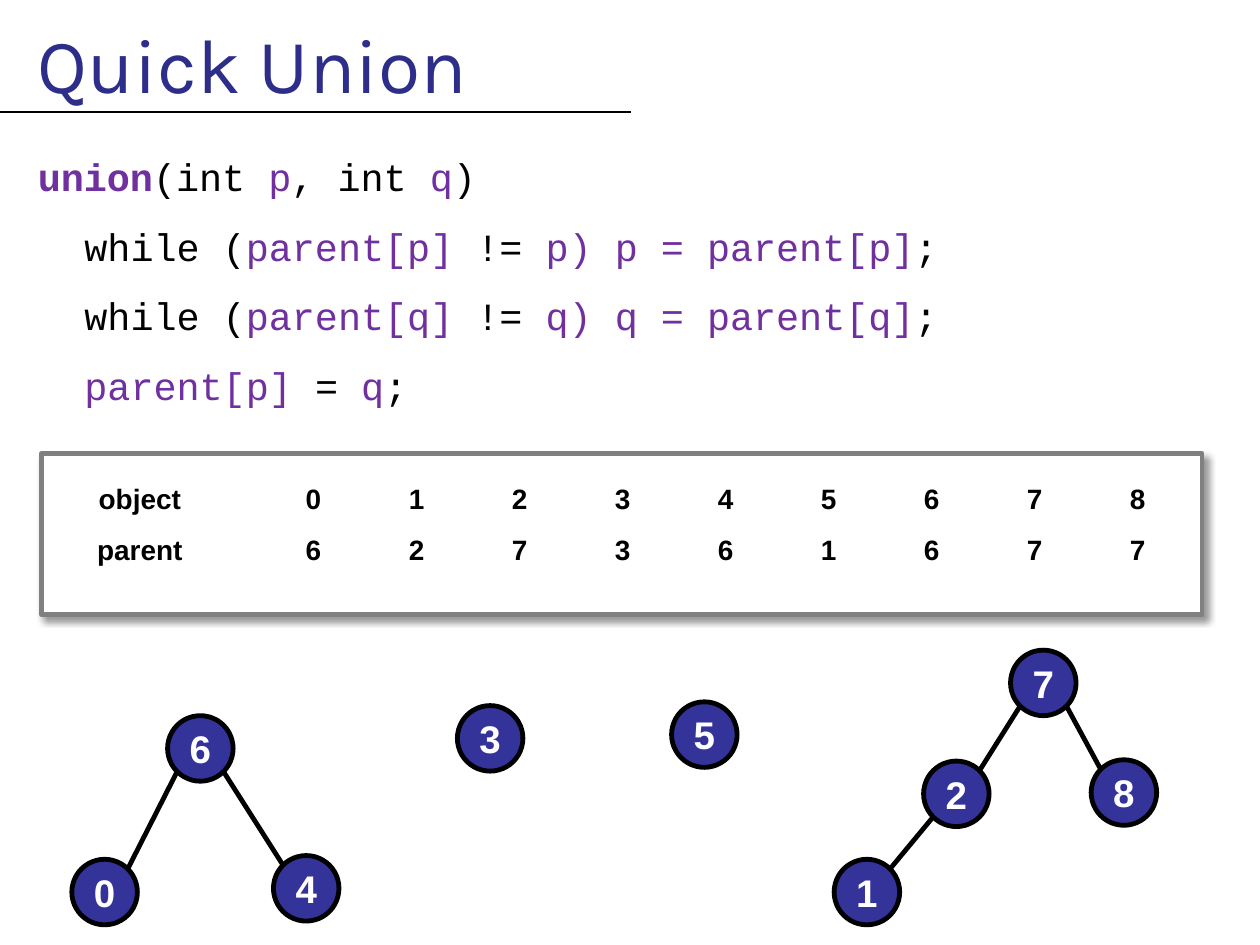
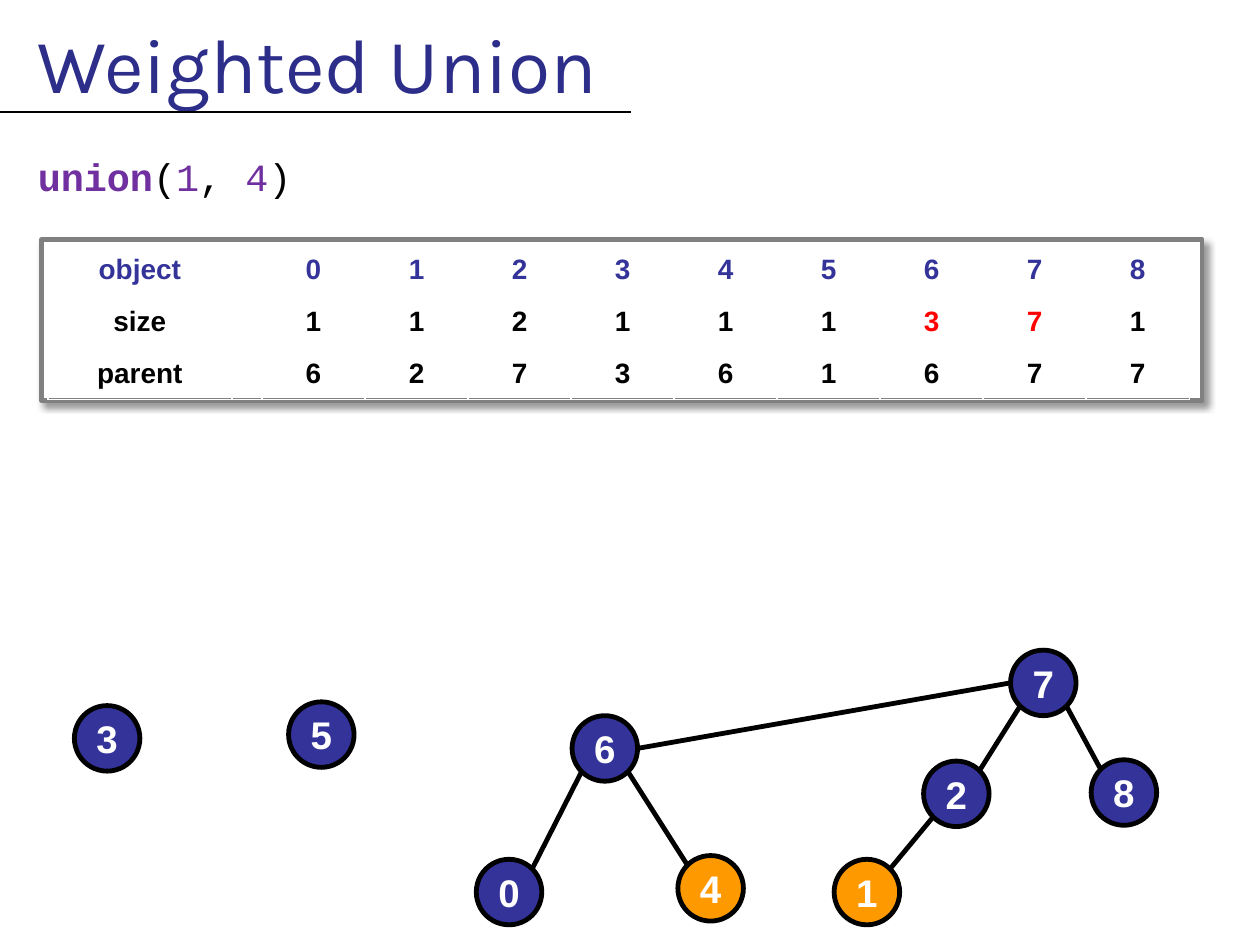
from dataclasses import dataclass
from math import sqrt

from lxml.etree import SubElement
from pptx import Presentation
from pptx.dml.color import RGBColor
from pptx.enum.shapes import MSO_CONNECTOR, MSO_SHAPE
from pptx.enum.text import MSO_ANCHOR, MSO_AUTO_SIZE, PP_ALIGN
from pptx.oxml.ns import qn
from pptx.util import Inches, Pt

WIDTH, HEIGHT = Inches(10), Inches(7.5)
COLUMN, ROW = WIDTH / 10, HEIGHT / 7.5
DIAMETER = 0.52
DIAGONAL = DIAMETER / 2 / sqrt(2)
CELL_ROW = 0.41
VALUE_COLUMN = (9.05 - 1.46 - 0.23) / 9


@dataclass(frozen=True)
class Theme:
    title: RGBColor = RGBColor.from_string("2D2D8A")
    accent: RGBColor = RGBColor.from_string("333399")
    code: RGBColor = RGBColor.from_string("7030A0")
    marked: RGBColor = RGBColor.from_string("FF9900")
    changed: RGBColor = RGBColor.from_string("FF0000")
    frame: RGBColor = RGBColor.from_string("808080")
    ink: RGBColor = RGBColor.from_string("000000")
    paper: RGBColor = RGBColor.from_string("FFFFFF")
    title_font: str = "Karla"
    code_font: str = "Courier New"
    label_font: str = "Arial"
    title_size: int = 44
    code_size: int = 22
    node_size: int = 22
    table_size: int = 16
    outline: float = 2.75
    rule: float = 1.5


@dataclass(frozen=True)
class Node:
    label: str
    x: float
    y: float
    marked: bool = False

    def shifted(self, distance: float, marked: bool = False) -> "Node":
        return Node(self.label, self.x + distance, self.y, marked)


@dataclass(frozen=True)
class Edge:
    child: str
    parent: str
    sideways: bool = False


@dataclass(frozen=True)
class TableRow:
    label: str
    values: str
    color: RGBColor
    changed: tuple[int, ...] = ()


@dataclass(frozen=True)
class UnionSlide:
    title: str
    code: list[str]
    frame_top: float
    table_top: float
    rows: list[TableRow]
    nodes: list[Node]
    edges: list[Edge]


THEME = Theme()
PARENTS = TableRow("parent", "627361677", THEME.ink)

SINGLES = [Node("3", 3.89, 5.86), Node("5", 5.59, 5.83)]
SMALL_TREE = [Node("0", 0.83, 7.08), Node("4", 2.43, 7.05), Node("6", 1.59, 5.94)]
LARGE_TREE = [Node("8", 8.92, 6.29), Node("2", 7.59, 6.3), Node("7", 8.28, 5.42)]
LEAF = Node("1", 6.88, 7.08)
TREE_EDGES = [Edge("1", "2"), Edge("0", "6"), Edge("4", "6"), Edge("2", "7"), Edge("8", "7")]

SLIDES = [
    UnionSlide(
        title="Quick Union",
        code=[
            "|union|(int |p|, int |q|)",
            "while (|parent[p] |!= |p) p = parent[p]|;",
            "while (|parent[q] |!= |q) q = parent[q]|;",
            "|parent[p]| = |q|;",
        ],
        frame_top=3.6,
        table_top=3.76,
        rows=[TableRow("object", "012345678", THEME.ink), PARENTS],
        nodes=SINGLES + SMALL_TREE + LARGE_TREE + [LEAF],
        edges=TREE_EDGES,
    ),
    UnionSlide(
        title="Weighted Union",
        code=["|union|(|1|, |4|)"],
        frame_top=1.9,
        table_top=1.94,
        rows=[
            TableRow("object", "012345678", THEME.accent),
            TableRow("size", "112111371", THEME.ink, changed=(6, 7)),
            PARENTS,
        ],
        nodes=[node.shifted(-3.04) for node in SINGLES]
        + [node.shifted(3.21, node.label == "4") for node in SMALL_TREE]
        + LARGE_TREE
        + [LEAF.shifted(0, True)],
        edges=TREE_EDGES + [Edge("6", "7", sideways=True)],
    ),
]


def place(left: float, top: float, width: float, height: float) -> tuple[int, int, int, int]:
    return round(left * COLUMN), round(top * ROW), round(width * COLUMN), round(height * ROW)


def move(shape, left: float, top: float, width: float, height: float) -> None:
    shape.left, shape.top, shape.width, shape.height = place(left, top, width, height)


def format_run(run, name: str, size: int, color: RGBColor, bold: bool = False) -> None:
    run.font.name = name
    run.font.size = Pt(size)
    run.font.color.rgb = color
    run.font.bold = bold


def indent(paragraph, margin: float, first_line: float) -> None:
    properties = paragraph._p.get_or_add_pPr()
    properties.set("marL", str(Inches(margin)))
    properties.set("indent", str(Inches(first_line)))
    SubElement(properties, qn("a:buNone"))


def draw_line(slide, start: tuple[float, float], end: tuple[float, float], weight: float) -> None:
    connector = slide.shapes.add_connector(MSO_CONNECTOR.STRAIGHT, *place(*start, *end))
    connector.line.color.rgb = THEME.ink
    connector.line.width = Pt(weight)
    SubElement(connector._element.spPr, qn("a:effectLst"))


def draw_title(slide, text: str) -> None:
    title = slide.shapes.title
    move(title, 0, 0, 10, 1)
    frame = title.text_frame
    frame.text = text
    frame.auto_size = MSO_AUTO_SIZE.NONE
    frame.vertical_anchor = MSO_ANCHOR.MIDDLE
    paragraph = frame.paragraphs[0]
    paragraph.alignment = PP_ALIGN.LEFT
    indent(paragraph, 0.2, 0)
    format_run(paragraph.runs[0], THEME.title_font, THEME.title_size, THEME.title)
    draw_line(slide, (0, 0.89), (5.01, 0.89), THEME.rule)


def draw_code(slide, lines: list[str]) -> None:
    body = slide.placeholders[1]
    move(body, 0, 1.09, 10, 6.41)
    frame = body.text_frame
    frame.auto_size = MSO_AUTO_SIZE.NONE
    frame.margin_top = Inches(0.11)
    for number, line in enumerate(lines):
        paragraph = frame.add_paragraph() if number else frame.paragraphs[0]
        paragraph.level = 1 if number else 0
        paragraph.line_spacing = 1.05
        paragraph.space_before = Pt(12 if number else 0)
        indent(paragraph, *((1, -0.43) if number else (0.5, -0.3)))
        for position, piece in enumerate(line.split("|")):
            if piece:
                run = paragraph.add_run()
                run.text = piece
                color = THEME.code if position % 2 else THEME.ink
                format_run(run, THEME.code_font, THEME.code_size, color, piece == "union")


def add_shadow(shape) -> None:
    effects = shape._element.spPr.find(qn("a:effectLst"))
    shadow = SubElement(effects, qn("a:outerShdw"), blurRad=str(Pt(4)), dist=str(Pt(3)),
                        dir=str(45 * 60000), algn="tl", rotWithShape="0")
    color = SubElement(shadow, qn("a:srgbClr"), val=str(THEME.ink))
    SubElement(color, qn("a:alpha"), val="40000")


def draw_shape(slide, kind: MSO_SHAPE, box: tuple[float, float, float, float],
               fill: RGBColor, line: RGBColor):
    shape = slide.shapes.add_shape(kind, *place(*box))
    shape.shadow.inherit = False
    shape.fill.solid()
    shape.fill.fore_color.rgb = fill
    shape.line.color.rgb = line
    shape.line.width = Pt(THEME.outline)
    return shape


def draw_table(slide, content: UnionSlide) -> None:
    frame_box = (0.33, content.frame_top, 9.21, 1.28)
    add_shadow(draw_shape(slide, MSO_SHAPE.RECTANGLE, frame_box, THEME.paper, THEME.frame))
    widths = [1.46, 0.23] + [VALUE_COLUMN] * 9
    count = len(content.rows)
    box = place(0.38, content.table_top, sum(widths), CELL_ROW * count)
    table = slide.shapes.add_table(count, len(widths), *box).table
    table.first_row = table.horz_banding = False
    for column, width in zip(table.columns, widths):
        column.width = round(width * COLUMN)
    for table_row, row in zip(table.rows, content.rows):
        table_row.height = round(CELL_ROW * ROW)
        for position, (cell, text) in enumerate(zip(table_row.cells, [row.label, "", *row.values])):
            cell.fill.background()
            cell.vertical_anchor = MSO_ANCHOR.MIDDLE
            cell.text_frame.text = text
            paragraph = cell.text_frame.paragraphs[0]
            paragraph.alignment = PP_ALIGN.CENTER
            color = THEME.changed if position - 2 in row.changed else row.color
            for run in paragraph.runs:
                format_run(run, THEME.label_font, THEME.table_size, color, True)


def draw_node(slide, node: Node) -> None:
    box = (node.x - DIAMETER / 2, node.y - DIAMETER / 2, DIAMETER, DIAMETER)
    fill = THEME.marked if node.marked else THEME.accent
    shape = draw_shape(slide, MSO_SHAPE.OVAL, box, fill, THEME.ink)
    frame = shape.text_frame
    frame.margin_left = frame.margin_right = frame.margin_top = frame.margin_bottom = 0
    frame.word_wrap = False
    frame.vertical_anchor = MSO_ANCHOR.MIDDLE
    frame.text = node.label
    paragraph = frame.paragraphs[0]
    paragraph.alignment = PP_ALIGN.CENTER
    format_run(paragraph.runs[0], THEME.label_font, THEME.node_size, THEME.paper, True)


def draw_edge(slide, child: Node, parent: Node, sideways: bool) -> None:
    side = 1 if parent.x > child.x else -1
    across, up = (DIAMETER / 2, 0) if sideways else (DIAGONAL, DIAGONAL)
    start = (child.x + side * across, child.y - up)
    end = (parent.x - side * across, parent.y + up)
    draw_line(slide, start, end, THEME.outline)


def draw_forest(slide, content: UnionSlide) -> None:
    nodes = {node.label: node for node in content.nodes}
    for node in content.nodes:
        draw_node(slide, node)
    for edge in content.edges:
        draw_edge(slide, nodes[edge.child], nodes[edge.parent], edge.sideways)


def main() -> None:
    presentation = Presentation()
    presentation.slide_width, presentation.slide_height = WIDTH, HEIGHT
    for content in SLIDES:
        slide = presentation.slides.add_slide(presentation.slide_layouts[1])
        draw_title(slide, content.title)
        draw_code(slide, content.code)
        draw_table(slide, content)
        draw_forest(slide, content)
    presentation.save("out.pptx")


if __name__ == "__main__":
    main()
